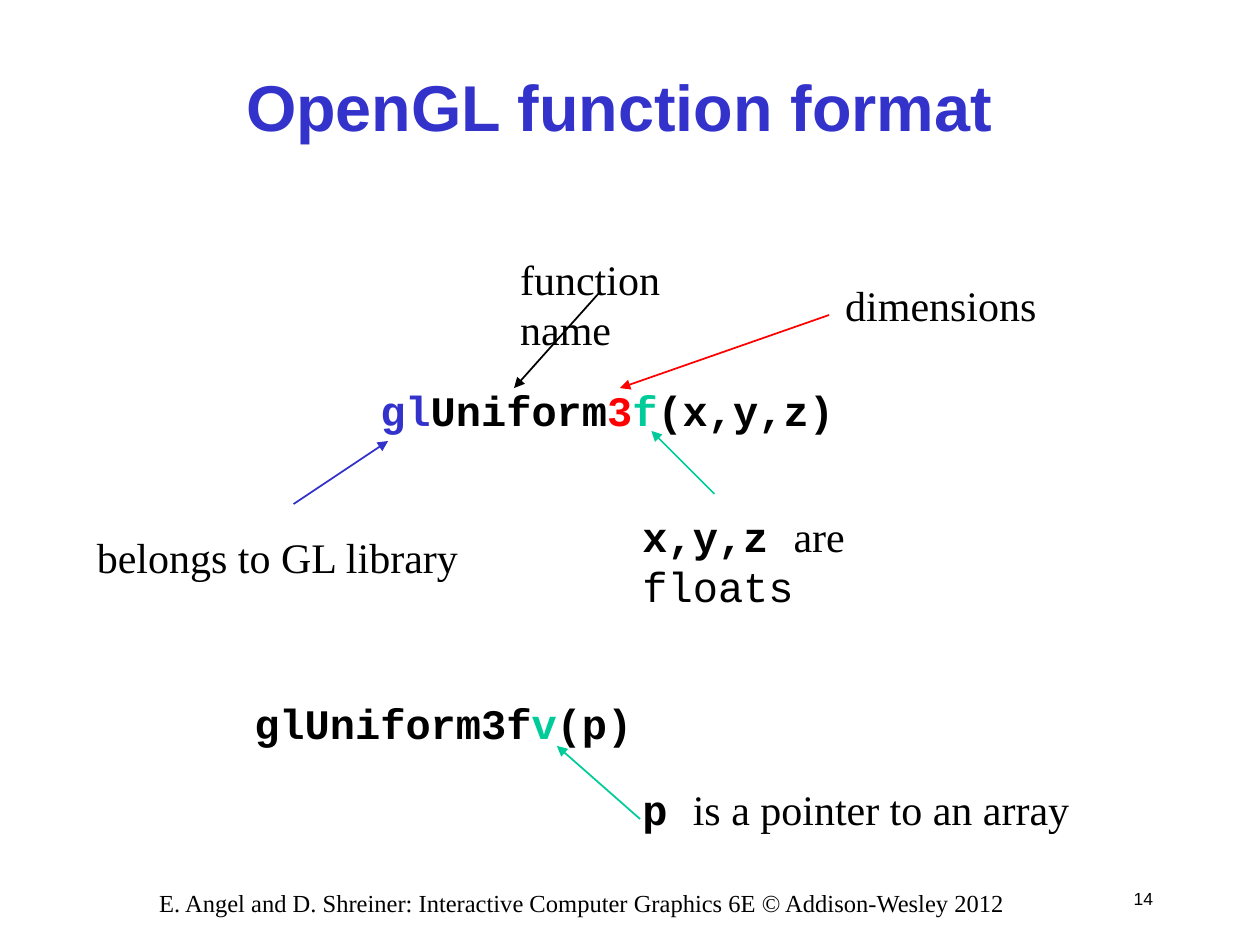
"""Build a slide that explains the parts of an OpenGL function name."""
from lxml import etree
from pptx import Presentation
from pptx.dml.color import RGBColor
from pptx.enum.shapes import MSO_CONNECTOR
from pptx.enum.text import MSO_ANCHOR, MSO_AUTO_SIZE, PP_ALIGN
from pptx.oxml.ns import qn
from pptx.util import Inches, Pt

LINE = MSO_CONNECTOR.STRAIGHT
TOP, MIDDLE = MSO_ANCHOR.TOP, MSO_ANCHOR.MIDDLE
GROW = MSO_AUTO_SIZE.SHAPE_TO_FIT_TEXT
FIXED = MSO_AUTO_SIZE.NONE
LEFT, CENTER, RIGHT = PP_ALIGN.LEFT, PP_ALIGN.CENTER, PP_ALIGN.RIGHT
SANS, SERIF, MONO = "Arial", "Times New Roman", "Courier New"
COLORS = {"blue": "3333CC", "black": "000000", "red": "FF0000", "green": "00CC99"}


def color(name):
    return RGBColor.from_string(COLORS[name])


def style(font, face, size, hue="black", bold=False):
    font.name, font.size, font.bold = face, Pt(size), bold
    font.color.rgb = color(hue)


def add_title(slide, text):
    title = slide.shapes.title
    title.left, title.top = Inches(1.5), Inches(0.25)
    title.width, title.height = Inches(6.83), Inches(1.17)
    frame = title.text_frame
    frame.text = text
    frame.auto_size, frame.vertical_anchor = FIXED, MIDDLE
    para = frame.paragraphs[0]
    para.alignment = CENTER
    style(para.font, SANS, 37, "blue", True)


def add_box(slide, at, wrap=False, fit=GROW, anchor=TOP, align=LEFT):
    frame = slide.shapes.add_textbox(*map(Inches, at)).text_frame
    frame.word_wrap, frame.auto_size = wrap, fit
    frame.vertical_anchor = anchor
    para = frame.paragraphs[0]
    para.alignment = align
    return para


def add_label(slide, at, text):
    para = add_box(slide, at)
    para.text = text
    style(para.font, SERIF, 24)


def add_code(slide, at, parts):
    para = add_box(slide, at)
    style(para.font, MONO, 24, bold=True)
    for text, hue in parts:
        run = para.add_run()
        run.text = text
        run.font.color.rgb = color(hue)


def add_note(slide, at, parts, wrap=False):
    para = add_box(slide, at, wrap)
    style(para.font, SERIF, 24)
    for text, face, bold in parts:
        run = para.add_run()
        run.text = text
        run.font.name, run.font.bold = face, bold


def add_small(slide, at, text, face, size, anchor, align):
    para = add_box(slide, at, True, FIXED, anchor, align)
    para.text = text
    style(para.font, face, size)


def add_arrow(slide, start, end, hue):
    arrow = slide.shapes.add_connector(LINE, *map(Inches, start + end))
    arrow.line.color.rgb = color(hue)
    arrow.line.width = Pt(1)
    etree.SubElement(arrow.line._get_or_add_ln(), qn("a:tailEnd"), type="triangle")
    etree.SubElement(arrow._element.spPr, qn("a:effectLst"))


def main():
    deck = Presentation()
    deck.slide_width, deck.slide_height = Inches(10), Inches(7.5)
    slide = deck.slides.add_slide(deck.slide_layouts[5])

    add_title(slide, "OpenGL function format")
    add_small(slide, (8.83, 6.92, 0.42, 0.42), "14", SANS, 10, MIDDLE, RIGHT)
    add_small(
        slide, (1.08, 7, 7.08, 0.25),
        "E. Angel and D. Shreiner: Interactive Computer Graphics 6E © Addison-Wesley 2012",
        SERIF, 14, TOP, CENTER)

    add_code(slide, (2.92, 3, 3.84, 0.51), [
        ("gl", "blue"), ("Uniform", "black"), ("3", "red"),
        ("f", "green"), ("(x,y,z)", "black")])
    add_code(slide, (1.92, 5.49, 3.23, 0.51), [
        ("glUniform3f", "black"), ("v", "green"), ("(p)", "black")])

    add_label(slide, (0.67, 4.17, 3.08, 0.5), "belongs to GL library")
    add_label(slide, (4.03, 1.96, 2.11, 0.5), "function name")
    add_label(slide, (6.61, 2.17, 1.72, 0.5), "dimensions")
    add_note(slide, (5, 4, 3.15, 0.5), [
        ("x,y,z ", MONO, True), ("are", SERIF, False), (" floats", MONO, False)], True)
    add_note(slide, (5, 6.17, 3.59, 0.5), [
        ("p ", MONO, True), ("is a pointer to an array", SERIF, False)])

    for start, end, hue in [
        ((2.33, 4), (3.08, 3.5), "blue"),
        ((4.75, 2.33), (4.08, 3.08), "black"),
        ((5.67, 3.92), (5.17, 3.42), "green"),
        ((5.08, 6.5), (4.42, 5.92), "green"),
        ((6.58, 2.5), (4.92, 3.08), "red"),
    ]:
        add_arrow(slide, start, end, hue)

    deck.save("out.pptx")


if __name__ == "__main__":
    main()
